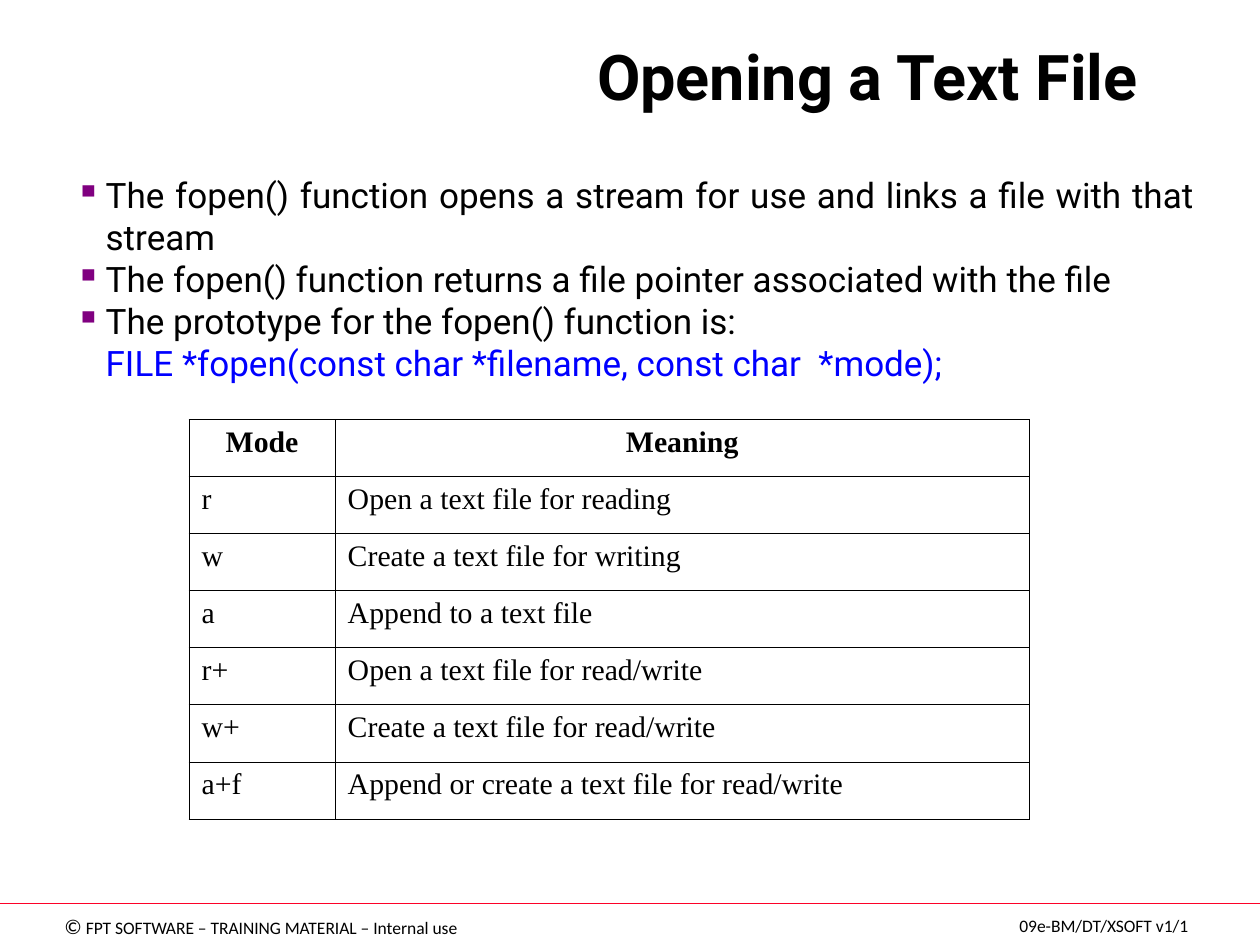
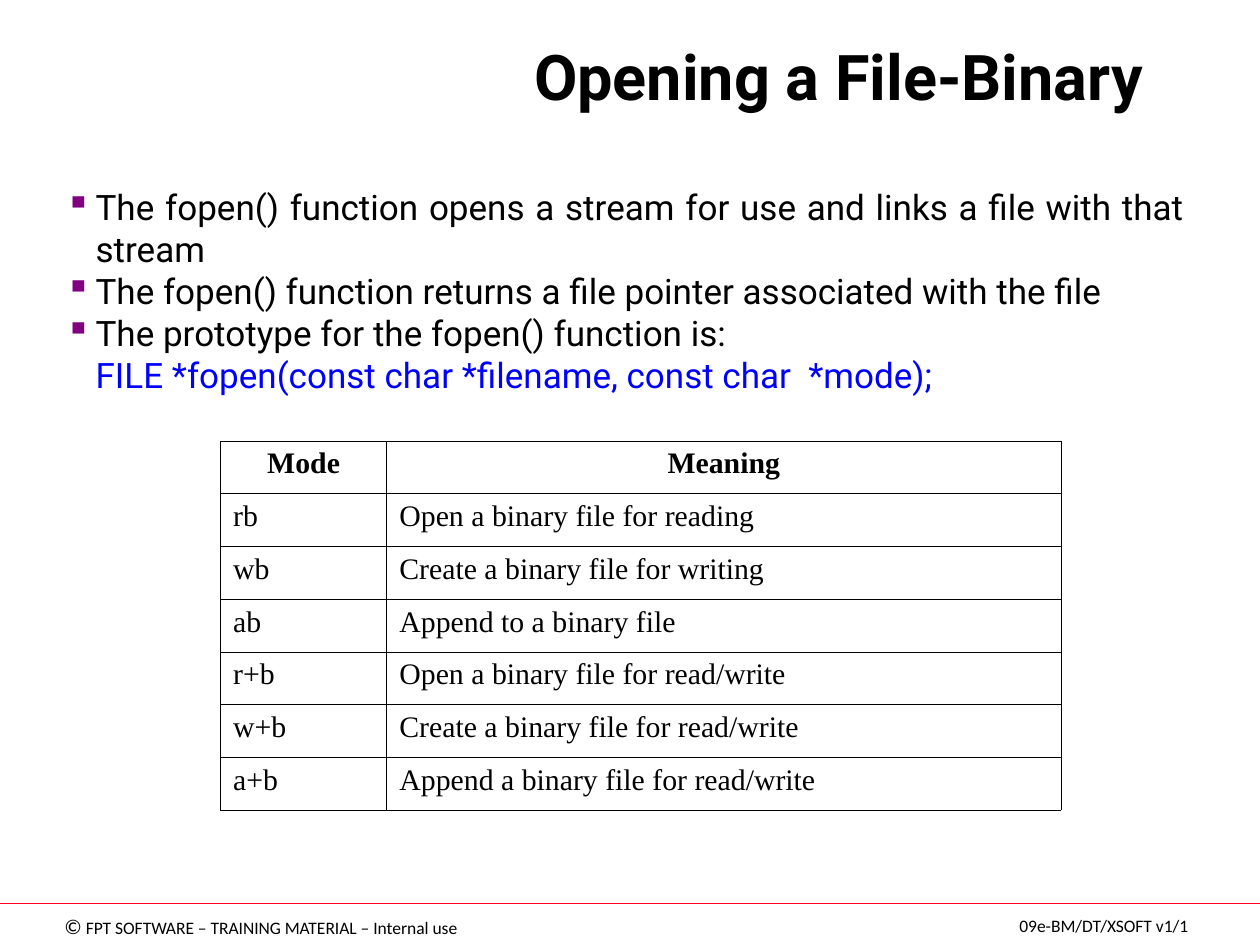
from dataclasses import dataclass

from lxml.etree import SubElement
from pptx import Presentation
from pptx.dml.color import RGBColor
from pptx.enum.shapes import MSO_CONNECTOR
from pptx.enum.text import MSO_ANCHOR, MSO_AUTO_SIZE, PP_ALIGN
from pptx.oxml.ns import qn
from pptx.util import Inches, Pt

BLACK = RGBColor(0x00, 0x00, 0x00)
BLUE = RGBColor(0x00, 0x00, 0xFF)
PURPLE = RGBColor(0x80, 0x00, 0x80)
RED = RGBColor(0xFC, 0x01, 0x28)

HEADING_FONT = "Roboto"
FOOTER_FONT = "Calibri"
TABLE_FONT = "Times New Roman"

BULLETS = [
    "The fopen() function opens a stream for use and links a file with that stream",
    "The fopen() function returns a file pointer associated with the file",
    "The prototype for the fopen() function is:",
]
PROTOTYPE = "FILE *fopen(const char *filename, const char  *mode);"
HEADER = ("Mode", "Meaning")
HANGING = Inches(0.24)


@dataclass(frozen=True)
class Box:
    left: float
    top: float
    width: float
    height: float

    def lengths(self) -> list:
        return [Inches(v) for v in (self.left, self.top, self.width, self.height)]


@dataclass(frozen=True)
class ModeSlide:
    title: str
    title_box: Box
    body_box: Box
    table_box: Box
    mode_width: float
    modes: list[tuple[str, str]]


SLIDES = [
    ModeSlide(
        "Opening a Text File",
        Box(4.64, 0.25, 5.12, 0.7),
        Box(0.5, 1.33, 9.08, 1.77),
        Box(1.5, 3.33, 6.67, 3.17),
        1.16,
        [
            ("r", "Open a text file for reading"),
            ("w", "Create a text file for writing"),
            ("a", "Append to a text file"),
            ("r+", "Open a text file for read/write"),
            ("w+", "Create a text file for read/write"),
            ("a+f", "Append or create a text file for read/write"),
        ],
    ),
    ModeSlide(
        "Opening a File-Binary",
        Box(4.14, 0.25, 5.56, 0.7),
        Box(0.42, 1.42, 9.08, 1.77),
        Box(1.75, 3.5, 6.67, 2.93),
        1.32,
        [
            ("rb", "Open a binary file for reading"),
            ("wb", "Create a binary file for writing"),
            ("ab", "Append to a binary file"),
            ("r+b", "Open a binary file for read/write"),
            ("w+b", "Create a binary file for read/write"),
            ("a+b", "Append a binary file for read/write"),
        ],
    ),
]


def add_run(p, text: str, *, size: float, font: str, color=BLACK, bold=False) -> None:
    r = p.add_run()
    r.text = text
    r.font.size = Pt(size)
    r.font.name = font
    r.font.bold = bold
    r.font.color.rgb = color


def add_text_frame(slide, box: Box, *, wrap=False, anchor=MSO_ANCHOR.TOP):
    tf = slide.shapes.add_textbox(*box.lengths()).text_frame
    tf.word_wrap = wrap
    tf.auto_size = MSO_AUTO_SIZE.SHAPE_TO_FIT_TEXT
    tf.vertical_anchor = anchor
    return tf


def set_bullet(p) -> None:
    pPr = p._p.get_or_add_pPr()
    pPr.set("indent", str(-HANGING))
    SubElement(SubElement(pPr, qn("a:buClr")), qn("a:srgbClr"), val=str(PURPLE))
    SubElement(pPr, qn("a:buChar"), char="▪")


def add_footer(slide) -> None:
    y = Inches(7.17)
    rule = slide.shapes.add_connector(MSO_CONNECTOR.STRAIGHT, 0, y, Inches(10), y)
    rule.line.color.rgb = RED
    rule.line.width = Pt(0.75)
    SubElement(rule._element.spPr, qn("a:effectLst"))

    footers = [
        (Box(0.4, 7.2, 3.34, 0.3),
         [("©", 12), (" FPT SOFTWARE – TRAINING MATERIAL – Internal use", 10)]),
        (Box(7.99, 7.21, 1.54, 0.27), [("09e-BM/DT/XSOFT v1/1", 10)]),
    ]
    for box, runs in footers:
        p = add_text_frame(slide, box, anchor=MSO_ANCHOR.MIDDLE).paragraphs[0]
        p.alignment = PP_ALIGN.CENTER
        for text, size in runs:
            add_run(p, text, size=size, font=FOOTER_FONT)


def add_body(slide, box: Box) -> None:
    tf = add_text_frame(slide, box, wrap=True)
    for i, text in enumerate([*BULLETS, PROTOTYPE]):
        p = tf.add_paragraph() if i else tf.paragraphs[0]
        p.alignment = PP_ALIGN.JUSTIFY
        p._p.get_or_add_pPr().set("marL", str(HANGING))
        is_code = text == PROTOTYPE
        if not is_code:
            set_bullet(p)
        add_run(p, text, size=20, font=HEADING_FONT, color=BLUE if is_code else BLACK)


def set_borders(cell) -> None:
    """Outline a cell; called before its fill, which must follow the lines."""
    tcPr = cell._tc.get_or_add_tcPr()
    for side in ("lnL", "lnR", "lnT", "lnB"):
        ln = SubElement(tcPr, qn(f"a:{side}"), w=str(Pt(0.45)))
        SubElement(SubElement(ln, qn("a:solidFill")), qn("a:srgbClr"), val=str(BLACK))


def add_mode_table(slide, content: ModeSlide) -> None:
    rows = [HEADER, *content.modes]
    box = content.table_box
    table = slide.shapes.add_table(len(rows), len(HEADER), *box.lengths()).table
    table.first_row = table.horz_banding = False
    table.columns[0].width = Inches(content.mode_width)
    table.columns[1].width = Inches(box.width - content.mode_width)
    for i, row in enumerate(rows):
        for j, text in enumerate(row):
            cell = table.cell(i, j)
            set_borders(cell)
            cell.fill.background()
            p = cell.text_frame.paragraphs[0]
            p.alignment = PP_ALIGN.JUSTIFY if i else PP_ALIGN.CENTER
            add_run(p, text, size=17, font=TABLE_FONT, bold=i == 0)


def add_mode_slide(prs, content: ModeSlide) -> None:
    slide = prs.slides.add_slide(prs.slide_layouts[6])
    add_footer(slide)
    title = add_text_frame(slide, content.title_box).paragraphs[0]
    add_run(title, content.title, size=36, font=HEADING_FONT, bold=True)
    add_body(slide, content.body_box)
    add_mode_table(slide, content)


def main() -> None:
    prs = Presentation()
    prs.slide_width, prs.slide_height = Inches(10), Inches(7.5)
    for content in SLIDES:
        add_mode_slide(prs, content)
    prs.save("out.pptx")


if __name__ == "__main__":
    main()
